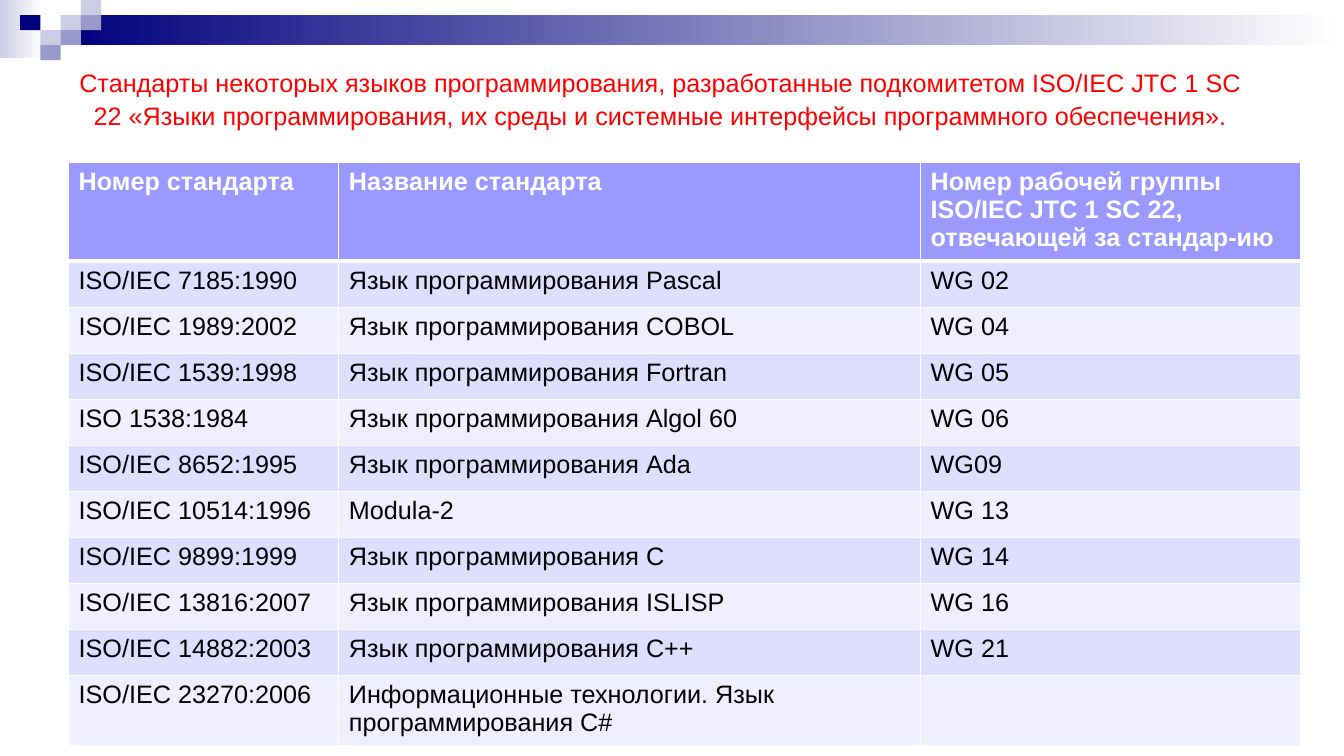
from lxml import etree
from pptx import Presentation
from pptx.dml.color import RGBColor
from pptx.enum.shapes import MSO_SHAPE
from pptx.enum.text import MSO_ANCHOR, MSO_AUTO_SIZE, PP_ALIGN
from pptx.oxml.ns import qn
from pptx.util import Cm, Pt

RECT = MSO_SHAPE.RECTANGLE
TOP = MSO_ANCHOR.TOP
FIXED = MSO_AUTO_SIZE.NONE
LEFT, CENTER = PP_ALIGN.LEFT, PP_ALIGN.CENTER

WHITE = RGBColor(0xFF, 0xFF, 0xFF)
BLACK = RGBColor(0x00, 0x00, 0x00)
RED = RGBColor(0xFF, 0x00, 0x00)
NAVY = RGBColor(0x00, 0x00, 0x7D)
PALE = RGBColor(0xCC, 0xCC, 0xE6)
MID = RGBColor(0x99, 0x99, 0xCC)
HEAD = RGBColor(0x99, 0x99, 0xFF)
ODD = RGBColor(0xDE, 0xDE, 0xFF)
EVEN = RGBColor(0xEF, 0xEF, 0xFF)

TITLE = ("Стандарты некоторых языков программирования, разработанные "
         "подкомитетом ISO/IEC JTC 1 SC 22 «Языки программирования, их среды "
         "и системные интерфейсы программного обеспечения».")
LANG = "Язык программирования "
ROWS = [
    ("Номер стандарта", "Название стандарта",
     "Номер рабочей группы ISO/IEC JTC 1 SC 22, отвечающей за стандар-ию"),
    ("ISO/IEC 7185:1990", LANG + "Pascal", "WG 02"),
    ("ISO/IEC 1989:2002", LANG + "COBOL", "WG 04"),
    ("ISO/IEC 1539:1998", LANG + "Fortran", "WG 05"),
    ("ISO 1538:1984", LANG + "Аlgol 60", "WG 06"),
    ("ISO/IEC 8652:1995", LANG + "Ada", "WG09"),
    ("ISO/IEC 10514:1996", "Modula-2", "WG 13"),
    ("ISO/IEC 9899:1999", LANG + "С", "WG 14"),
    ("ISO/IEC 13816:2007", LANG + "ISLISP", "WG 16"),
    ("ISO/IEC 14882:2003", LANG + "С++", "WG 21"),
    ("ISO/IEC 23270:2006", "Информационные технологии. " + LANG + "C#", ""),
]
WIDTHS = (6.81, 14.66, 9.58)
HEIGHTS = [2.49] + [1.16] * 9 + [1.78]

# Corner squares: column, row, colour
STEP_X, STEP_Y = 0.51, 0.38
TILES = [(3, 1, PALE), (4, 0, PALE), (4, 1, MID), (2, 2, PALE),
         (1, 1, NAVY), (3, 2, MID), (2, 3, MID)]


def write(frame, text, font="Arial", size=18, color=BLACK, bold=False,
          align=LEFT, space=1.0):
    frame.text = text
    par = frame.paragraphs[0]
    par.alignment = align
    par.line_spacing = space
    par.font.name = font
    par.font.size = Pt(size)
    par.font.bold = bold
    par.font.color.rgb = color


def edge(cell, side, width):
    line = etree.SubElement(cell._tc.get_or_add_tcPr(), qn("a:" + side),
                            w=str(Pt(width)))
    fill = etree.SubElement(line, qn("a:solidFill"))
    etree.SubElement(fill, qn("a:srgbClr"), val=str(WHITE))


class Deck:
    def __init__(self):
        self.prs = Presentation()
        self.prs.slide_width = Cm(33.87)
        self.prs.slide_height = Cm(19.05)
        self.slide = self.prs.slides.add_slide(self.prs.slide_layouts[5])

    def rect(self, x, y, w, h, start, end=None):
        box = self.slide.shapes.add_shape(RECT, Cm(x), Cm(y), Cm(w), Cm(h))
        box.shadow.inherit = False
        box.line.fill.background()
        if end is None:
            box.fill.solid()
            box.fill.fore_color.rgb = start
            return
        box.fill.gradient()
        box.fill.gradient_angle = 0
        for stop, color in zip(box.fill.gradient_stops, (start, end)):
            stop.color.rgb = color

    def title(self, text, x, y, w, h):
        box = self.slide.shapes.title
        box.left, box.top, box.width, box.height = Cm(x), Cm(y), Cm(w), Cm(h)
        frame = box.text_frame
        frame.word_wrap = True
        frame.auto_size = FIXED
        frame.vertical_anchor = TOP
        write(frame, text, color=RED, align=CENTER, space=1.08)

    def table(self, rows, x, y, widths, heights):
        grid = self.slide.shapes.add_table(
            len(rows), len(widths), Cm(x), Cm(y),
            Cm(sum(widths)), Cm(sum(heights))).table
        for col, width in zip(grid.columns, widths):
            col.width = Cm(width)
        for r, (row, height) in enumerate(zip(rows, heights)):
            grid.rows[r].height = Cm(height)
            for c, text in enumerate(row):
                self.cell(grid.cell(r, c), r, text)

    def cell(self, cell, r, text):
        top = r == 0
        write(cell.text_frame, text, bold=top, color=WHITE if top else BLACK)
        # Borders come before the fill in the cell properties
        edge(cell, "lnL", 1)
        edge(cell, "lnR", 1)
        edge(cell, "lnT", 3 if r == 1 else 1)
        edge(cell, "lnB", 3 if top else 1)
        cell.fill.solid()
        cell.fill.fore_color.rgb = HEAD if top else ODD if r % 2 else EVEN


def main():
    deck = Deck()

    # Top band with corner squares
    deck.rect(0, 0, 1.07, 1.47, PALE, WHITE)
    deck.rect(1.53, 0.38, 32.34, 0.76, NAVY, WHITE)
    for col, row, color in TILES:
        deck.rect(col * STEP_X, row * STEP_Y, STEP_X, STEP_Y, color)

    # Heading and list of standards
    deck.title(TITLE, 1.73, 1.52, 29.82, 2.57)
    deck.table(ROWS, 1.73, 4.09, WIDTHS, HEIGHTS)

    deck.prs.save("out.pptx")


if __name__ == "__main__":
    main()
